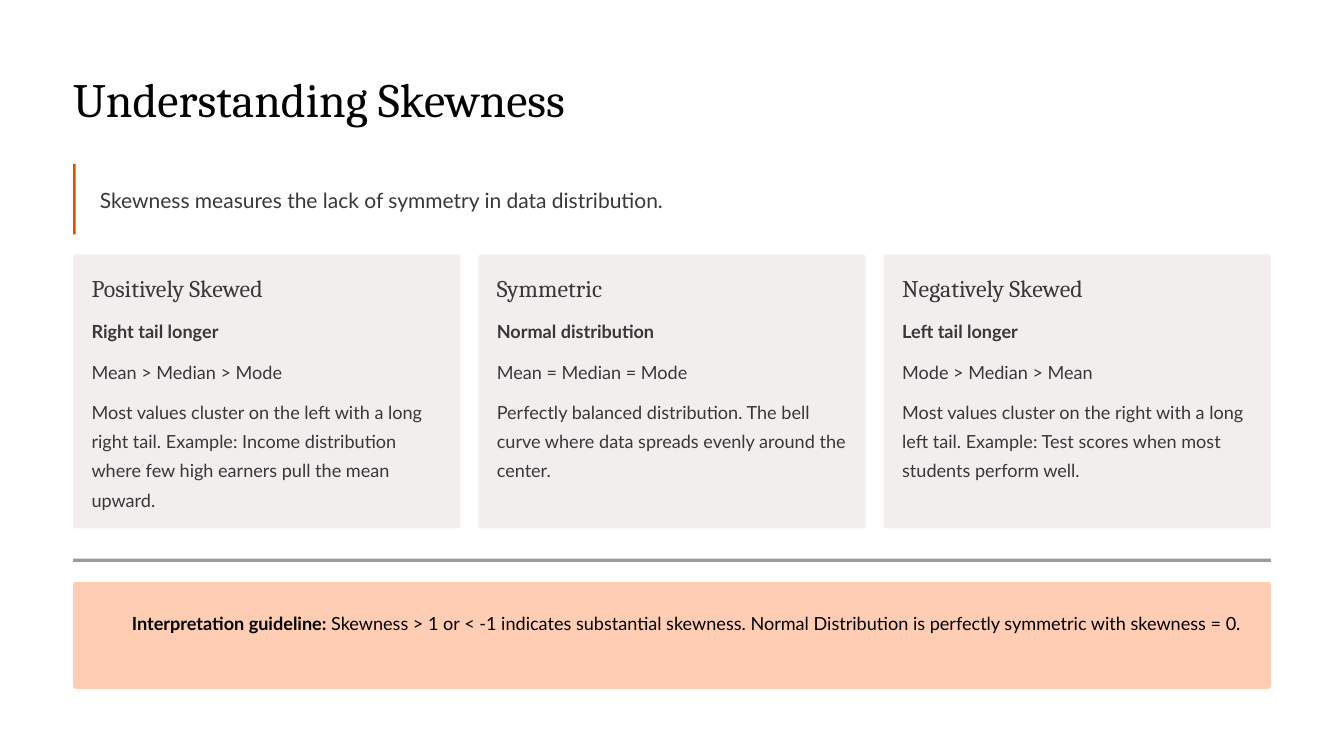
from dataclasses import dataclass

from lxml import etree
from pptx import Presentation
from pptx.dml.color import RGBColor
from pptx.enum.shapes import MSO_SHAPE
from pptx.enum.text import MSO_ANCHOR, MSO_AUTO_SIZE, PP_ALIGN
from pptx.oxml.ns import qn
from pptx.util import Inches, Pt

RECT = MSO_SHAPE.RECTANGLE
ROUNDED = MSO_SHAPE.ROUNDED_RECTANGLE
TOP = MSO_ANCHOR.TOP
LEFT_ALIGNED = PP_ALIGN.LEFT
NO_AUTOFIT = MSO_AUTO_SIZE.NONE

COLORS = {
    "background": "FFFFFF",
    "title": "020202",
    "text": "383838",
    "accent": "E04F00",
    "card": "F2EEEE",
    "guideline": "FFCDB3",
    "guideline_text": "000000",
}
HEADING_FONT, BODY_FONT = "Cambria", "Lato"

MARGIN, CONTENT_WIDTH = 0.87, 14.26
CARD_TOP, CARD_WIDTH, CARD_HEIGHT = 3.03, 4.61, 3.26
CARD_PITCH = (CONTENT_WIDTH - CARD_WIDTH) / 2
CARD_PADDING, ROW_PITCH = 0.22, 0.48


@dataclass
class TextStyle:
    font: str
    size: float
    line_spacing: float
    color: str = "text"
    bold: bool = False


@dataclass
class SkewCard:
    heading: str
    feature: str
    order: str
    description: str


TITLE = TextStyle(HEADING_FONT, 41, 51, "title")
DEFINITION = TextStyle(BODY_FONT, 18, 25)
CARD_HEADING = TextStyle(HEADING_FONT, 20.5, 25.5)
CARD_TEXT = TextStyle(BODY_FONT, 15.5, 25)
CARD_FEATURE = TextStyle(BODY_FONT, 15.5, 25, bold=True)
GUIDELINE = TextStyle(BODY_FONT, 15.5, 25, "guideline_text")

CARDS = [
    SkewCard("Positively Skewed", "Right tail longer", "Mean > Median > Mode",
             "Most values cluster on the left with a long right tail. Example: "
             "Income distribution where few high earners pull the mean upward."),
    SkewCard("Symmetric", "Normal distribution", "Mean = Median = Mode",
             "Perfectly balanced distribution. The bell curve where data spreads "
             "evenly around the center."),
    SkewCard("Negatively Skewed", "Left tail longer", "Mode > Median > Mean",
             "Most values cluster on the right with a long left tail. Example: "
             "Test scores when most students perform well."),
]


def rgb(name: str) -> RGBColor:
    return RGBColor.from_string(COLORS[name])


def write(shape, text: str, style: TextStyle):
    """Fill a text shape with one styled paragraph and return the paragraph."""
    frame = shape.text_frame
    frame.word_wrap = True
    frame.auto_size = NO_AUTOFIT
    frame.vertical_anchor = TOP
    frame.margin_left = frame.margin_right = frame.margin_top = frame.margin_bottom = 0
    frame.text = text
    paragraph = frame.paragraphs[0]
    paragraph.alignment = LEFT_ALIGNED
    paragraph.line_spacing = Pt(style.line_spacing)
    format_run(paragraph.runs[0], style)
    return paragraph


def format_run(run, style: TextStyle) -> None:
    run.font.name = style.font
    run.font.size = Pt(style.size)
    run.font.bold = style.bold
    run.font.color.rgb = rgb(style.color)


def add_text(slide, left: float, top: float, width: float, height: float,
             text: str, style: TextStyle):
    box = slide.shapes.add_textbox(Inches(left), Inches(top), Inches(width), Inches(height))
    return write(box, text, style)


def add_panel(slide, kind, left: float, top: float, width: float, height: float,
              color: str, radius: float = 0):
    panel = slide.shapes.add_shape(kind, Inches(left), Inches(top), Inches(width), Inches(height))
    panel.shadow.inherit = False
    panel.fill.solid()
    panel.fill.fore_color.rgb = rgb(color)
    panel.line.fill.background()
    if radius:
        panel.adjustments[0] = radius
    return panel


def add_card(slide, left: float, card: SkewCard) -> None:
    add_panel(slide, ROUNDED, left, CARD_TOP, CARD_WIDTH, CARD_HEIGHT, "card", 0.01)
    rows = [
        (card.heading, CARD_HEADING, 0.36),
        (card.feature, CARD_FEATURE, 0.35),
        (card.order, CARD_TEXT, 0.35),
        (card.description, CARD_TEXT, 1.39),
    ]
    for index, (text, style, height) in enumerate(rows):
        add_text(slide, left + CARD_PADDING, CARD_TOP + CARD_PADDING + index * ROW_PITCH,
                 4.18, height, text, style)


def main() -> None:
    presentation = Presentation()
    presentation.slide_width, presentation.slide_height = Inches(16), Inches(9)
    slide = presentation.slides.add_slide(presentation.slide_layouts[5])
    slide.background.fill.solid()
    slide.background.fill.fore_color.rgb = rgb("background")

    # Title
    title = slide.shapes.title
    title.left, title.top = Inches(MARGIN), Inches(0.8)
    title.width, title.height = Inches(CONTENT_WIDTH), Inches(0.71)
    write(title, "Understanding Skewness", TITLE)

    # Definition with accent bar
    add_text(slide, 1.19, 2.19, 13.94, 0.35,
             "Skewness measures the lack of symmetry in data distribution.", DEFINITION)
    add_panel(slide, RECT, MARGIN, 1.95, 0.03, 0.84, "accent")

    # Three kinds of skew
    for column, card in enumerate(CARDS):
        add_card(slide, MARGIN + column * CARD_PITCH, card)

    # Half-transparent divider
    divider = add_panel(slide, RECT, MARGIN, 6.65, CONTENT_WIDTH, 0.04, "text")
    divider_color = divider.fill._xPr.find(qn("a:solidFill"))[0]
    etree.SubElement(divider_color, qn("a:alpha"), val="50000")

    # Interpretation guideline
    add_panel(slide, ROUNDED, MARGIN, 6.93, CONTENT_WIDTH, 1.27, "guideline", 0.026)
    guideline = add_text(slide, 1.57, 7.2, 13.34, 0.69, "Interpretation guideline:", GUIDELINE)
    guideline.runs[0].font.bold = True
    rule = guideline.add_run()
    rule.text = (" Skewness > 1 or < -1 indicates substantial skewness. "
                 "Normal Distribution is perfectly symmetric with skewness = 0.")
    format_run(rule, GUIDELINE)

    presentation.save("out.pptx")


if __name__ == "__main__":
    main()
